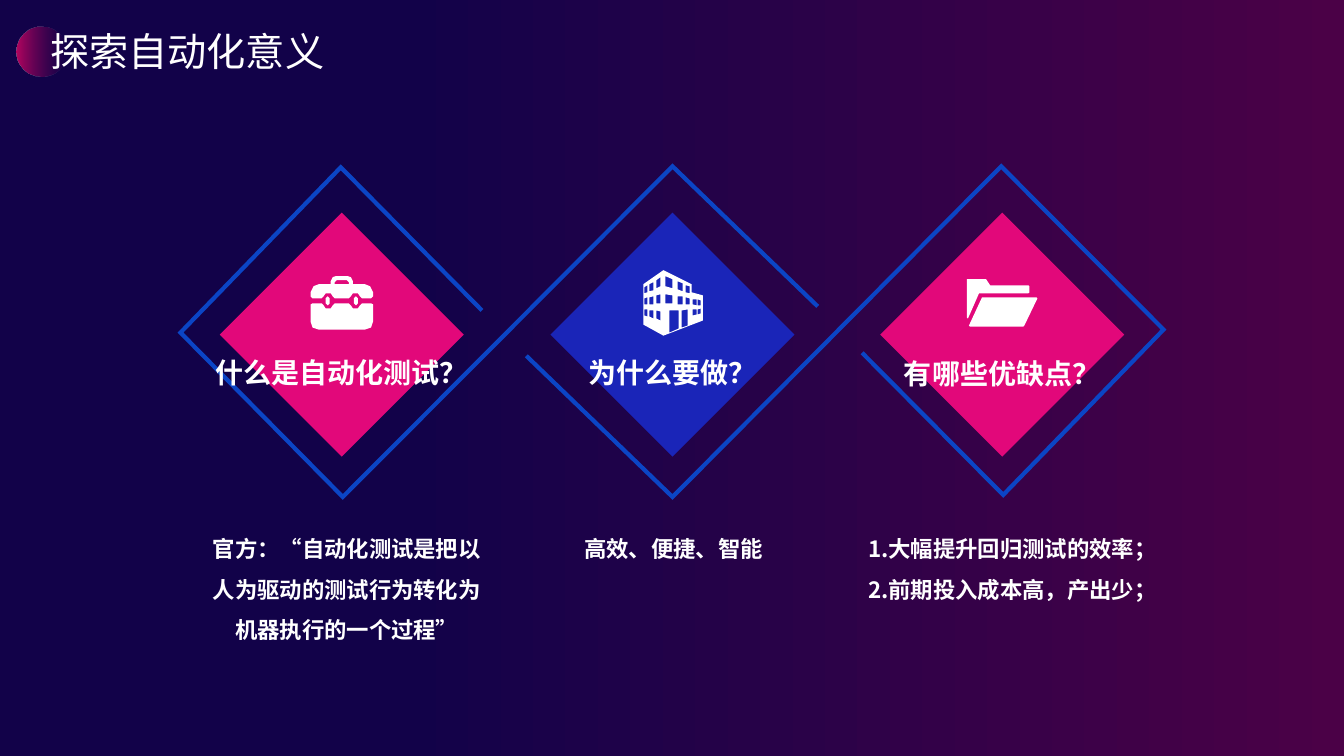
from lxml import etree
from pptx import Presentation
from pptx.dml.color import RGBColor
from pptx.enum.shapes import MSO_SHAPE
from pptx.enum.text import MSO_AUTO_SIZE, PP_ALIGN
from pptx.oxml.ns import qn
from pptx.util import Inches, Pt

DIAMOND, OVAL = MSO_SHAPE.DIAMOND, MSO_SHAPE.OVAL
GROW, NO_GROW = MSO_AUTO_SIZE.SHAPE_TO_FIT_TEXT, MSO_AUTO_SIZE.NONE
CENTER, LEFT = PP_ALIGN.CENTER, PP_ALIGN.LEFT

FONT = "Noto Sans CJK SC"
COLORS = {
    "night": "120249", "plum": "4B0147", "rose": "B30660", "violet": "570152",
    "pink": "E2087A", "blue": "1A25B8", "ribbon": "0B45C5", "white": "FFFFFF",
}
TITLE = "探索自动化意义"
TOPICS = [
    {"question": "什么是自动化测试？", "color": "pink", "center": 3.39,
     "label_width": 2.71, "label_top": 3.48, "answer_left": 1.95, "answer_height": 1.31,
     "answer": ["官方：“自动化测试是把以人为驱动的测试行为转化为机器执行的一个过程”"]},
    {"question": "为什么要做？", "color": "blue", "center": 6.67,
     "label_width": 1.87, "label_top": 3.48, "answer_left": 5.19, "answer_height": 0.5,
     "answer": ["高效、便捷、智能"]},
    {"question": "有哪些优缺点？", "color": "pink", "center": 9.94,
     "label_width": 2.15, "label_top": 3.49, "answer_left": 8.44, "answer_height": 0.91,
     "answer": ["1.大幅提升回归测试的效率；", "2.前期投入成本高，产出少；"]},
]
DIAMOND_TOP, DIAMOND_SIZE = 2.11, 2.42
ANSWER_TOP, ANSWER_WIDTH = 5.13, 2.98

RIBBONS = [
    [(8.55, 3.5), (9.95, 4.91), (11.54, 3.27), (9.93, 1.65), (6.67, 4.93), (5.22, 3.53)],
    [(4.78, 3.08), (3.38, 1.66), (1.79, 3.3), (3.4, 4.93), (6.67, 1.65), (8.11, 3.04)],
]

TOOLBOX_HALVES = [
    [(3.39, 2.74), (3.33, 2.74), (3.3, 2.75), (3.28, 2.79), (3.28, 2.82), (3.16, 2.82),
     (3.11, 2.84), (3.08, 2.9), (3.08, 2.94), (3.1, 2.96), (3.19, 2.96), (3.21, 2.94),
     (3.23, 2.91), (3.28, 2.91), (3.3, 2.94), (3.32, 2.96), (3.39, 2.96)],
    [(3.39, 2.78), (3.34, 2.78), (3.32, 2.8), (3.32, 2.82), (3.39, 2.82)],
    [(3.39, 3.01), (3.32, 3.01), (3.3, 3.03), (3.28, 3.06), (3.23, 3.06), (3.21, 3.03),
     (3.19, 3.01), (3.1, 3.01), (3.08, 3.02), (3.08, 3.19), (3.1, 3.25), (3.16, 3.27),
     (3.39, 3.27)],
]
TOOLBOX_CLASP = [(3.25, 2.94), (3.23, 2.96), (3.23, 3.01), (3.25, 3.03), (3.27, 3.01), (3.27, 2.96)]
TOOLBOX_AXIS = 3.39

BUILDING_WALLS = [(6.58, 2.68), (6.38, 2.82), (6.38, 3.22), (6.58, 3.33), (6.97, 3.18),
                  (6.97, 2.93), (6.86, 2.9), (6.86, 2.82)]
BUILDING_OPENINGS = [
    (6.39, 6.42, [(2.85, 2.83, 2.9, 2.91), (2.96, 2.95, 3.02, 3.02), (3.07, 3.07, 3.14, 3.13)]),
    (6.44, 6.48, [(2.82, 2.8, 2.88, 2.89), (2.95, 2.94, 3.02, 3.02), (3.08, 3.08, 3.16, 3.14)]),
    (6.51, 6.55, [(2.78, 2.75, 2.84, 2.86), (2.93, 2.92, 3.01, 3.01), (3.08, 3.09, 3.18, 3.16)]),
    (6.6, 6.67, [(2.74, 2.77, 2.86, 2.84), (2.92, 2.93, 3.01, 3.01)]),
    (6.72, 6.77, [(2.79, 2.81, 2.89, 2.87), (2.94, 2.94, 3.02, 3.02)]),
    (6.8, 6.84, [(2.83, 2.84, 2.91, 2.9), (2.95, 2.96, 3.02, 3.02)]),
    (6.64, 6.73, [(3.08, 3.08, 3.26, 3.3)]),
    (6.76, 6.82, [(3.08, 3.07, 3.23, 3.25)]),
    (6.87, 6.91, [(2.97, 2.97, 3.03, 3.02), (3.07, 3.07, 3.12, 3.13)]),
    (6.92, 6.95, [(2.97, 2.98, 3.03, 3.03), (3.07, 3.06, 3.11, 3.12)]),
]
FOLDER_FRONT = [(9.74, 2.95), (10.28, 2.95), (10.29, 2.96), (10.16, 3.23), (10.15, 3.24),
                (9.62, 3.24), (9.61, 3.23)]
FOLDER_BACK = [(9.59, 2.77), (9.78, 2.77), (9.82, 2.83), (10.2, 2.83), (10.21, 2.84),
               (10.21, 2.9), (10.2, 2.91), (9.71, 2.91), (9.6, 3.16), (9.59, 3.15)]


def rgb(name):
    return RGBColor.from_string(COLORS[name])


def paint(shape, color):
    shape.shadow.inherit = False
    shape.fill.solid()
    shape.fill.fore_color.rgb = rgb(color)
    shape.line.fill.background()


def blend(fill, stops):
    fill.gradient()
    fill.gradient_angle = 0
    for stop, (position, color) in zip(fill.gradient_stops, stops):
        stop.position = position
        stop.color.rgb = rgb(color)


def outline(slide, contours, close=True):
    emu = [[(Inches(x), Inches(y)) for x, y in contour] for contour in contours]
    builder = slide.shapes.build_freeform(*emu[0][0])
    builder.add_line_segments(emu[0][1:], close=close)
    for contour in emu[1:]:
        builder.move_to(*contour[0])
        builder.add_line_segments(contour[1:], close=close)
    return builder.convert_to_shape()


def write(slide, box, lines, size, bold=True, align=CENTER, wrap=True, spacing=None, fit=GROW):
    textbox = slide.shapes.add_textbox(*map(Inches, box))
    frame = textbox.text_frame
    frame.text = "\n".join(lines)
    frame.word_wrap = wrap
    frame.auto_size = fit
    for paragraph in frame.paragraphs:
        paragraph.alignment = align
        paragraph.line_spacing = spacing
        for run in paragraph.runs:
            run.font.size = Pt(size)
            run.font.bold = bold
            run.font.name = FONT
            run.font.color.rgb = rgb("white")
            etree.SubElement(run.font._element, qn("a:ea")).set("typeface", FONT)


def mirror(points):
    return [(2 * TOOLBOX_AXIS - x, y) for x, y in reversed(points)]


def toolbox():
    bodies = [half + mirror(half) for half in TOOLBOX_HALVES]
    return bodies + [TOOLBOX_CLASP, mirror(TOOLBOX_CLASP)]


def building():
    openings = [
        [(left, top_left), (right, top_right), (right, bottom_right), (left, bottom_left)]
        for left, right, rows in BUILDING_OPENINGS
        for top_left, top_right, bottom_right, bottom_left in rows
    ]
    return [BUILDING_WALLS] + openings


def main():
    deck = Presentation()
    deck.slide_width, deck.slide_height = Inches(13.33), Inches(7.5)
    slide = deck.slides.add_slide(deck.slide_layouts[6])
    blend(slide.background.fill, [(0.3, "night"), (1, "plum")])

    title_dot = slide.shapes.add_shape(OVAL, *map(Inches, (0.16, 0.26, 0.5, 0.5)))
    title_dot.shadow.inherit = False
    title_dot.line.fill.background()
    blend(title_dot.fill, [(0, "rose"), (1, "violet")])
    faded = title_dot._element.spPr.findall(".//" + qn("a:srgbClr"))[-1]
    etree.SubElement(faded, qn("a:alpha")).set("val", "0")
    write(slide, (0.4, 0.22, 3.05, 1.05), [TITLE], 28, bold=False, align=LEFT, fit=NO_GROW)

    for points in RIBBONS:
        ribbon = outline(slide, [points], close=False)
        ribbon.shadow.inherit = False
        ribbon.fill.background()
        ribbon.line.color.rgb = rgb("ribbon")
        ribbon.line.width = Pt(3)
        line = ribbon._element.spPr.find(qn("a:ln"))
        etree.SubElement(line, qn("a:miter")).set("lim", "800000")

    icons = [[toolbox()], [building()], [[FOLDER_FRONT], [FOLDER_BACK]]]
    for topic, icon in zip(TOPICS, icons):
        center, width = topic["center"], topic["label_width"]
        diamond_box = (center - DIAMOND_SIZE / 2, DIAMOND_TOP, DIAMOND_SIZE, DIAMOND_SIZE)
        diamond = slide.shapes.add_shape(DIAMOND, *map(Inches, diamond_box))
        paint(diamond, topic["color"])
        for part in icon:
            paint(outline(slide, part), "white")
        write(slide, (center - width / 2, topic["label_top"], width, 0.44),
              [topic["question"]], 20, wrap=False)
        write(slide, (topic["answer_left"], ANSWER_TOP, ANSWER_WIDTH, topic["answer_height"]),
              topic["answer"], 16, spacing=1.5)

    deck.save("out.pptx")


if __name__ == "__main__":
    main()
